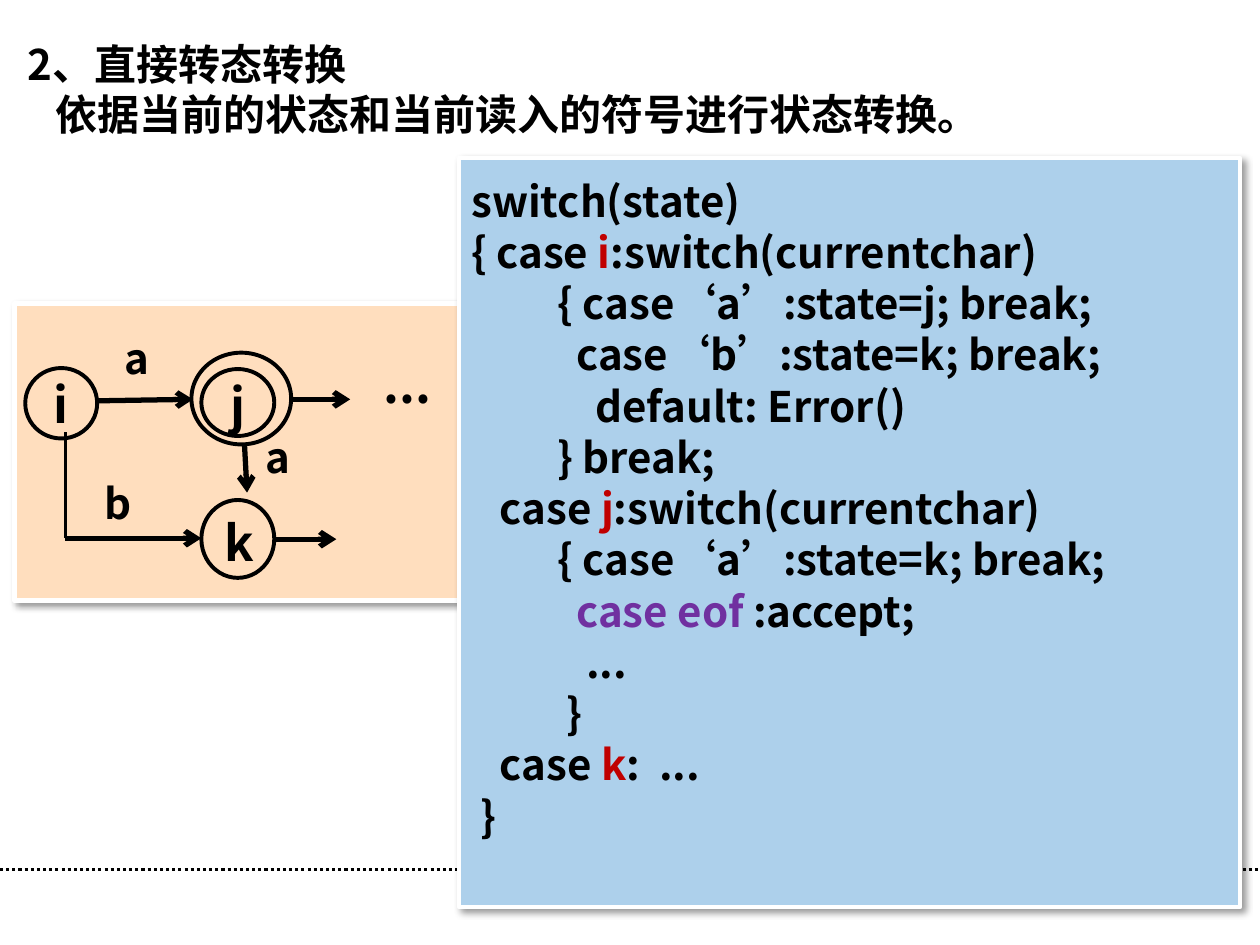
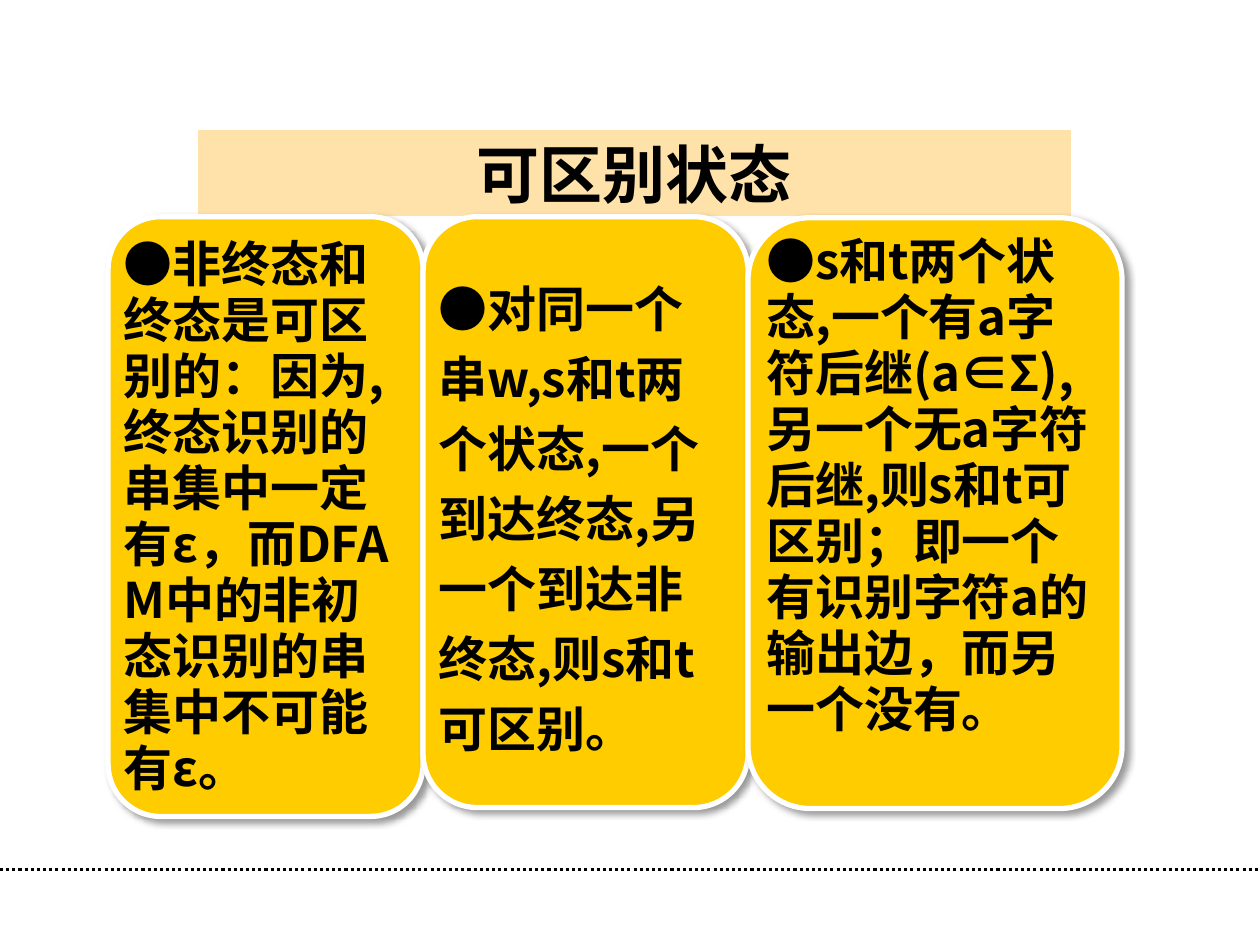
"""Build two slides on state transitions and distinguishable states of a DFA."""
from dataclasses import dataclass
from typing import Any, NamedTuple, Optional

import lxml.etree
import pptx
import pptx.dml.color
import pptx.enum.dml
import pptx.enum.shapes
import pptx.enum.text
import pptx.oxml.ns
import pptx.util

Cm = pptx.util.Cm
Pt = pptx.util.Pt
RGBColor = pptx.dml.color.RGBColor
Shapes = pptx.enum.shapes.MSO_SHAPE
Align = pptx.enum.text.PP_ALIGN
Anchor = pptx.enum.text.MSO_ANCHOR
qn = pptx.oxml.ns.qn

BLACK = RGBColor(0x00, 0x00, 0x00)
WHITE = RGBColor(0xFF, 0xFF, 0xFF)
RED = RGBColor(0xC0, 0x00, 0x00)
PURPLE = RGBColor(0x70, 0x30, 0xA0)
PEACH = RGBColor(0xFF, 0xDE, 0xBE)
SKY = RGBColor(0xAD, 0xD0, 0xEB)
SAND = RGBColor(0xFF, 0xE2, 0xAA)
GOLD = RGBColor(0xFF, 0xCC, 0x00)

CJK_FONT = "Noto Sans CJK SC"
HEADING_FONT = "Arial"
SLIDE_WIDTH, SLIDE_HEIGHT = 25.4, 19.05
SPACE_WIDTH = 0.193
TIGHT = 0.6


class Box(NamedTuple):
    """Position and size in centimetres."""
    left: float
    top: float
    width: float
    height: float

    def lengths(self) -> list:
        """Return the four values as lengths."""
        return [Cm(value) for value in self]


class Insets(NamedTuple):
    """Text margins in centimetres."""
    left: float = 0.25
    top: float = 0.13
    right: float = 0.25
    bottom: float = 0.13


class Piece(NamedTuple):
    """A stretch of text in one colour."""
    text: str
    color: RGBColor = BLACK


class Line(NamedTuple):
    """A paragraph indented by a number of space widths."""
    indent: int
    pieces: tuple


@dataclass(frozen=True)
class TextStyle:
    """Font, spacing and alignment of a text."""
    size: float
    font: str = CJK_FONT
    spacing: Any = None
    align: Any = Align.LEFT


@dataclass(frozen=True)
class State:
    """A circle of the automaton."""
    box: Box
    name: str = ""
    insets: Insets = Insets(top=0.61)


@dataclass(frozen=True)
class Edge:
    """A straight part of a transition, in centimetres."""
    x1: float
    y1: float
    x2: float
    y2: float
    weight: float = 3
    arrow: bool = True


@dataclass(frozen=True)
class Label:
    """A text beside the automaton."""
    box: Box
    text: str
    size: float = 24


@dataclass(frozen=True)
class Card:
    """A rounded card holding one criterion."""
    top: float
    width: float
    height: float
    pitch: float
    text: str
    bottom_inset: float = 0


CODE_STYLE = TextStyle(24, spacing=TIGHT)
STATE_STYLE = TextStyle(28, spacing=TIGHT, align=Align.CENTER)

TITLE = (
    Line(0, (Piece("2、直接转态转换"),)),
    Line(3, (Piece("依据当前的状态和当前读入的符号进行状态转换。"),)),
)

CODE = (
    Line(0, (Piece("switch(state)"),)),
    Line(0, (Piece("{ case "), Piece("i", RED), Piece(":switch(currentchar)"))),
    Line(9, (Piece("{ case‘a’:state=j; break;"),)),
    Line(11, (Piece("case‘b’:state=k; break;"),)),
    Line(13, (Piece("default: Error()"),)),
    Line(9, (Piece("} break;"),)),
    Line(3, (Piece("case "), Piece("j", RED), Piece(":switch(currentchar)"))),
    Line(9, (Piece("{ case‘a’:state=k; break;"),)),
    Line(11, (Piece("case eof ", PURPLE), Piece(":accept;"))),
    Line(12, (Piece("..."),)),
    Line(10, (Piece("}"),)),
    Line(3, (Piece("case "), Piece("k", RED), Piece(":  ..."))),
    Line(1, (Piece("}"),)),
)

STATES = (
    State(Box(3.86, 7.11, 2.01, 1.85)),
    State(Box(0.51, 7.42, 1.45, 1.42), "i", Insets(top=0.51, bottom=0.1)),
    State(Box(4.06, 7.44, 1.47, 1.35), "j"),
    State(Box(4.06, 10.08, 1.47, 1.57), "k"),
)

EDGES = (
    Edge(1.96, 8.08, 3.89, 8.05),
    Edge(1.32, 10.85, 4.06, 10.85),
    Edge(1.32, 8.71, 1.32, 10.85, weight=2.25, arrow=False),
    Edge(4.93, 8.99, 4.98, 9.93),
    Edge(5.87, 8.05, 7.06, 8.05),
    Edge(5.54, 10.87, 6.78, 10.87),
)

LABELS = (
    Label(Box(2.26, 6.93, 1.47, 1.07), "a"),
    Label(Box(1.85, 9.86, 1.47, 1.07), "b"),
    Label(Box(5.11, 8.92, 1.47, 1.07), "a"),
    Label(Box(7.49, 7.44, 3.63, 0.97), "...", 28),
)

CARDS_LEFT = 2.18
CARDS = (
    Card(4.37, 6.35, 12.09, 32,
         "●非终态和终态是可区别的：因为,终态识别的串集中一定有ε，"
         "而DFA M中的非初态识别的串集中不可能有ε。"),
    Card(4.37, 6.55, 11.91, 40,
         "●对同一个串w,s和t两个状态,一个到达终态,另一个到达非终态,则s和t可区别。"),
    Card(4.39, 7.54, 11.91, 32,
         "●s和t两个状态,一个有a字符后继(a∈Σ),另一个无a字符后继,则s和t可区别；"
         "即一个有识别字符a的输出边，而另一个没有。", bottom_inset=1.13),
)


def plain(text: str) -> tuple:
    """Return one black line without indent."""
    return (Line(0, (Piece(text),)),)


def add_child(parent: Any, tag: str, **attributes: Any) -> Any:
    """Append a drawing element with attributes."""
    values = {key: str(value) for key, value in attributes.items()}
    return lxml.etree.SubElement(parent, qn(tag), values)


def write(shape: Any, lines: tuple, style: TextStyle, insets: Insets = Insets(),
          anchor: Any = Anchor.TOP, wrap: bool = True) -> None:
    """Fill a shape with styled lines."""
    frame = shape.text_frame
    frame.word_wrap = wrap
    frame.vertical_anchor = anchor
    frame.margin_left, frame.margin_top, frame.margin_right, frame.margin_bottom = map(Cm, insets)
    for number, line in enumerate(lines):
        paragraph = frame.add_paragraph() if number else frame.paragraphs[0]
        paragraph.alignment = style.align
        properties = paragraph._p.get_or_add_pPr()
        properties.set("marL", str(Cm(line.indent * SPACE_WIDTH)))
        properties.set("indent", "0")
        if style.spacing is not None:
            paragraph.line_spacing = style.spacing
        if style.spacing == TIGHT:
            paragraph.space_before = Pt(0)
            before = properties.find(qn("a:spcBef"))
            before.remove(before[0])
            add_child(before, "a:spcPct", val=50000)
        for piece in line.pieces:
            run = paragraph.add_run()
            run.text = piece.text
            run.font.size = Pt(style.size)
            run.font.bold = True
            run.font.color.rgb = piece.color
            run.font.name = style.font
            add_child(run._r.get_or_add_rPr(), "a:ea", typeface=style.font)


def add_panel(slide: Any, kind: Any, box: Box, fill: Optional[RGBColor], outline: RGBColor,
              weight: float, shadow: bool = False) -> Any:
    """Draw a preset shape, with a soft shadow if wanted."""
    panel = slide.shapes.add_shape(kind, *box.lengths())
    if fill is None:
        panel.fill.background()
    else:
        panel.fill.solid()
        panel.fill.fore_color.rgb = fill
    panel.line.color.rgb = outline
    panel.line.width = Pt(weight)
    panel.shadow.inherit = False
    if shadow:
        effects = panel._element.spPr.find(qn("a:effectLst"))
        outer = add_child(effects, "a:outerShdw", blurRad=Pt(4), dist=Pt(3),
                          dir=45 * 60000, algn="tl", rotWithShape=0)
        add_child(add_child(outer, "a:srgbClr", val=BLACK), "a:alpha", val=40000)
    return panel


def add_edge(slide: Any, edge: Edge) -> Any:
    """Draw a straight line, with an arrowhead if wanted."""
    ends = map(Cm, (edge.x1, edge.y1, edge.x2, edge.y2))
    connector = slide.shapes.add_connector(pptx.enum.shapes.MSO_CONNECTOR.STRAIGHT, *ends)
    connector.line.color.rgb = BLACK
    connector.line.width = Pt(edge.weight)
    if edge.arrow:
        add_child(connector.line._get_or_add_ln(), "a:tailEnd", type="arrow")
    add_child(connector._element.spPr, "a:effectLst")
    return connector


def add_text(slide: Any, box: Box, lines: tuple, style: TextStyle) -> None:
    """Place a text box."""
    write(slide.shapes.add_textbox(*box.lengths()), lines, style)


def add_slide(deck: Any) -> Any:
    """Add a blank slide with the dotted footer rule."""
    slide = deck.slides.add_slide(deck.slide_layouts[6])
    rule = add_edge(slide, Edge(0, 17.53, SLIDE_WIDTH, 17.53, weight=1.75, arrow=False))
    rule.line.dash_style = pptx.enum.dml.MSO_LINE.ROUND_DOT
    return slide


def build_transitions(deck: Any) -> None:
    """Show an automaton beside the code that runs it."""
    slide = add_slide(deck)
    add_panel(slide, Shapes.RECTANGLE, Box(0.3, 6.12, 9.6, 5.99), PEACH, WHITE, 3, shadow=True)
    add_text(slide, Box(0.3, 0.64, 22.63, 2.31), TITLE, TextStyle(24))
    code = add_panel(slide, Shapes.RECTANGLE, Box(9.25, 3.18, 15.75, 15.11), SKY, WHITE, 2.25,
                     shadow=True)
    write(code, CODE, CODE_STYLE, Insets(top=0.71))
    for state in STATES:
        circle = add_panel(slide, Shapes.OVAL, state.box, None, BLACK, 2.25)
        if state.name:
            write(circle, plain(state.name), STATE_STYLE, state.insets, Anchor.MIDDLE)
    for edge in EDGES:
        add_edge(slide, edge)
    for label in LABELS:
        add_text(slide, label.box, plain(label.text), TextStyle(label.size, spacing=TIGHT))


def build_criteria(deck: Any) -> None:
    """Show the three criteria for distinguishable states."""
    slide = add_slide(deck)
    heading = add_panel(slide, Shapes.RECTANGLE, Box(3.96, 2.59, 17.65, 1.8), SAND, WHITE, 1.5)
    write(heading, plain("可区别状态"), TextStyle(36, HEADING_FONT, align=Align.CENTER),
          Insets(0, 0, 0, 0), Anchor.MIDDLE, wrap=False)
    left = CARDS_LEFT
    for card in CARDS:
        panel = add_panel(slide, Shapes.ROUNDED_RECTANGLE,
                          Box(left, card.top, card.width, card.height), GOLD, WHITE, 3, shadow=True)
        write(panel, plain(card.text), TextStyle(28, spacing=Pt(card.pitch)),
              Insets(0, 0, 0, card.bottom_inset), Anchor.MIDDLE)
        left += card.width


def main() -> None:
    """Build and save the deck."""
    deck = pptx.Presentation()
    deck.slide_width, deck.slide_height = Cm(SLIDE_WIDTH), Cm(SLIDE_HEIGHT)
    build_transitions(deck)
    build_criteria(deck)
    deck.save("out.pptx")


if __name__ == "__main__":
    main()
